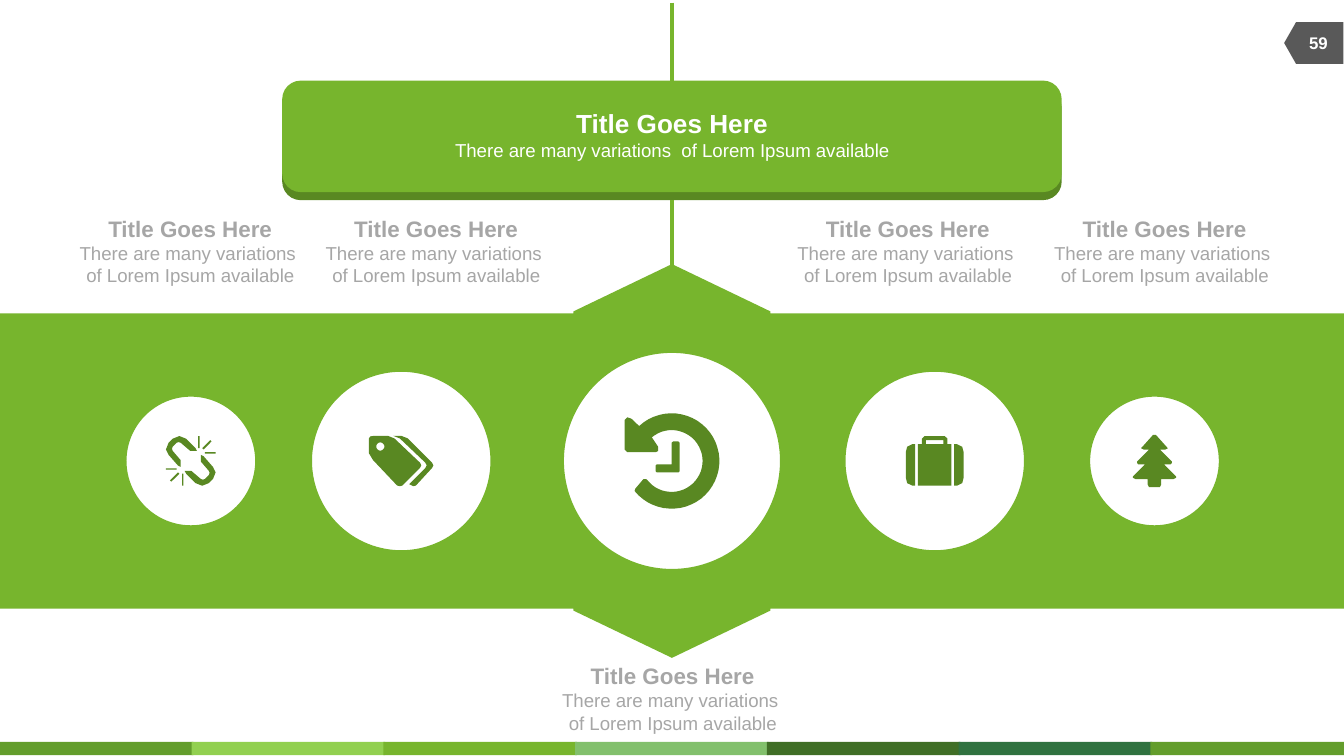
from dataclasses import dataclass
from math import cos, radians, sin

from lxml import etree
from pptx import Presentation
from pptx.dml.color import RGBColor
from pptx.enum.shapes import MSO_CONNECTOR, MSO_SHAPE
from pptx.enum.text import MSO_ANCHOR, PP_ALIGN
from pptx.oxml.ns import qn
from pptx.util import Inches, Pt

RECTANGLE = MSO_SHAPE.RECTANGLE
ROUNDED = MSO_SHAPE.ROUNDED_RECTANGLE
OVAL = MSO_SHAPE.OVAL
CALLOUT = MSO_SHAPE.LEFT_RIGHT_ARROW_CALLOUT
PAGE_TAB = MSO_SHAPE.FLOWCHART_OFFPAGE_CONNECTOR
STRAIGHT = MSO_CONNECTOR.STRAIGHT
CENTER = PP_ALIGN.CENTER
TOP, MIDDLE = MSO_ANCHOR.TOP, MSO_ANCHOR.MIDDLE

# The slide is a grid of square cells
COLUMNS, ROWS = 100, 56.25
CELL = Inches(0.1)


@dataclass(frozen=True)
class Theme:
    font: str = "Arial"
    green: str = "77B52D"
    dark_green: str = "598822"
    white: str = "FFFFFF"
    caption: str = "A6A6A6"
    tab: str = "595959"
    strips: tuple = ("639D2C", "92D050", "77B52D", "82C06C", "406E26", "307240", "639D2C")
    card_title: float = 14
    caption_title: float = 12
    body: float = 10
    page: float = 9
    stem: float = 2.25
    ring: float = 4.5


@dataclass(frozen=True)
class Box:
    left: float
    top: float
    width: float
    height: float

    @property
    def center(self):
        return self.left + self.width / 2, self.top + self.height / 2

    def inner(self, left, top, width, height):
        return Box(self.left + left, self.top + top, width, height)

    def emu(self):
        return [round(v * CELL) for v in (self.left, self.top, self.width, self.height)]


THEME = Theme()


def centered(x, y, width, height):
    return Box(x - width / 2, y - height / 2, width, height)


def color(code):
    return RGBColor.from_string(code)


def paint(shape, fill, line=None):
    shape.shadow.inherit = False
    shape.fill.solid()
    shape.fill.fore_color.rgb = color(fill)
    if line:
        shape.line.color.rgb = color(line)
        shape.line.width = Pt(THEME.ring)
    else:
        shape.line.fill.background()
    return shape


def add_shape(slide, kind, box, fill, line=None):
    return paint(slide.shapes.add_shape(kind, *box.emu()), fill, line)


def add_text(slide, box, lines, ink, anchor=TOP):
    """Each line is (text, size, bold)."""
    frame = slide.shapes.add_textbox(*box.emu()).text_frame
    frame.word_wrap = True
    frame.vertical_anchor = anchor
    for index, (text, size, bold) in enumerate(lines):
        paragraph = frame.add_paragraph() if index else frame.paragraphs[0]
        paragraph.text = text
        paragraph.alignment = CENTER
        paragraph.font.name = THEME.font
        paragraph.font.size = Pt(size)
        paragraph.font.bold = bold
        paragraph.font.color.rgb = color(ink)


def add_stem(slide, x, top, bottom):
    ends = [round(v * CELL) for v in (x, top, x, bottom)]
    stem = slide.shapes.add_connector(STRAIGHT, *ends)
    stem.line.color.rgb = color(THEME.green)
    stem.line.width = Pt(THEME.stem)
    etree.SubElement(stem._element.spPr, qn("a:effectLst"))
    return stem


# Icon outlines, in hundredths of an inch
def arc(x, y, radius, start, end, steps=40):
    angles = [radians(start + (end - start) * i / steps) for i in range(steps + 1)]
    return [(x + radius * cos(a), y + radius * sin(a)) for a in angles]


def mirror(points, width):
    return [(width - x, y) for x, y in points]


def half_turn(points, size):
    return [(size - x, size - y) for x, y in points]


def link_icon():
    half = [
        [(18, 11), (11, 5), (9.5, 4.5), (8, 5), (5, 8), (4.5, 9.5), (5, 11), (11, 18), (11, 23),
         (9, 22), (2, 14), (0, 10), (2, 5), (5, 2), (10, 0), (15, 2), (22, 9), (23, 11)],
        [(0, 24), (8, 24), (8, 25), (0, 25)],
        [(3, 33), (9, 27), (10, 28), (4, 34)],
        [(12, 28), (13, 28), (13, 37), (12, 37)],
    ]
    return half + [half_turn(part, 37) for part in half]


def tags_icon():
    front = [(38, 24), (25, 37), (23, 37.5), (21, 37), (3, 18), (0, 13), (0, 2), (1, 0.5),
             (4, 0), (14, 0), (19, 2), (38, 20), (39, 22)]
    back = [(47, 24), (35, 37), (33, 37.5), (30, 36), (42, 24), (43, 22), (42, 20), (23, 2),
            (18, 0), (24, 0), (29, 2), (47, 20), (48, 22)]
    return [front, arc(8.5, 8, 3, 0, 360), back]


def history_icon():
    head = [(5, 4), (2, 3), (0, 5), (0, 27), (2, 29), (23, 29), (25, 28), (25, 25)]
    dial = (arc(35, 35.5, 35.5, 141, -133) + head + arc(35, 35.5, 23, -130, 142)
            + [(16, 49), (14, 49), (8, 56)])
    hands = [(41, 43), (40, 44), (24, 44), (23, 43), (23, 39), (24, 38), (35, 38), (35, 22),
             (36, 21), (40, 21), (41, 22)]
    return [dial, hands]


def suitcase_icon():
    side = [(7, 37), (5, 37), (1, 35), (0, 31), (0, 12), (1, 8), (5, 6), (7, 6)]
    body = [(34, 37), (9, 37), (9, 6), (12, 6), (12, 2), (14, 0), (29, 0), (31, 2), (31, 6), (34, 6)]
    handle = [(28, 6), (28, 3), (15, 3), (15, 6)]
    return [side, body, handle, mirror(side, 43)]


def tree_icon():
    half = [(17, 0), (25, 9), (26, 10), (24, 11), (20, 11), (29, 20), (29, 21), (28, 22),
            (23, 22), (32, 31), (32, 32), (30, 33), (21, 33), (21, 37), (20, 39)]
    return [half + mirror(half, 32)[::-1]]


def add_icon(slide, center, outlines):
    """Draw the outlines as one freeform, in thousandths of an inch."""
    parts = [[(x * 10, y * 10) for x, y in outline] for outline in outlines]
    width, height = (max(point[axis] for part in parts for point in part) for axis in (0, 1))
    builder = slide.shapes.build_freeform(*parts[0][0], scale=CELL / 100)
    for index, part in enumerate(parts):
        if index:
            builder.move_to(*part[0])
        builder.add_line_segments(part[1:], close=True)
    x, y = center
    origin = round((x - width / 200) * CELL), round((y - height / 200) * CELL)
    paint(builder.convert_to_shape(*origin), THEME.dark_green)


def add_footer(slide, box):
    strip = 14.4
    pitch = (box.width - strip) / (len(THEME.strips) - 1)
    for index, fill in enumerate(THEME.strips):
        add_shape(slide, RECTANGLE, box.inner(index * pitch, 0, strip, box.height), fill)


def add_page_number(slide, box):
    tab = add_shape(slide, PAGE_TAB, centered(*box.center, box.height, box.width), THEME.tab)
    tab.rotation = 90
    add_text(slide, box.inner(0.45, 0.05, 4.2, 3), [("59", THEME.page, True)], THEME.white, MIDDLE)


def add_title_card(slide, box):
    base = add_shape(slide, ROUNDED, box.inner(0, 0.6, box.width, 8.3), THEME.dark_green)
    face = add_shape(slide, ROUNDED, box.inner(0, 0, box.width, 8.3), THEME.green)
    add_text(slide, box.inner(7.1, 1.5, 43.8, 5),
             [("Title Goes Here", THEME.card_title, True),
              ("There are many variations  of Lorem Ipsum available", THEME.body, False)],
             THEME.white)
    # Stems above and below the card
    x = box.center[0]
    add_stem(slide, x, 0.2, box.top).end_connect(face, 0)
    add_stem(slide, x, box.top + box.height, 21.1).begin_connect(base, 2)


def add_band(slide, box):
    band = add_shape(slide, CALLOUT, centered(*box.center, box.height, box.width), THEME.green)
    band.rotation = 270
    for index, value in enumerate((0.5, 0.25, 0.12, 0.75)):
        band.adjustments[index] = value


def add_caption(slide, box):
    add_text(slide, box,
             [("Title Goes Here", THEME.caption_title, True),
              ("There are many variations \vof Lorem Ipsum available", THEME.body, False)],
             THEME.caption)


def add_station(slide, box, outlines):
    add_shape(slide, OVAL, box, THEME.white, THEME.green)
    add_icon(slide, box.center, outlines)


def main():
    presentation = Presentation()
    presentation.slide_width = round(COLUMNS * CELL)
    presentation.slide_height = round(ROWS * CELL)
    slide = presentation.slides.add_slide(presentation.slide_layouts[6])

    add_footer(slide, Box(0, 55.2, COLUMNS, 1))
    add_page_number(slide, Box(95.55, 1.65, 4.4, 3.1))
    add_title_card(slide, Box(21, 6, 58, 8.9))
    band = Box(0, 19.65, COLUMNS, 29.3)
    add_band(slide, band)

    # Circle centre, diameter, icon, caption left and top
    stations = [
        (14.2, 10.2, link_icon(), 4.2, 15.5),
        (29.85, 13.9, tags_icon(), 22.5, 15.5),
        (50, 16.7, history_icon(), 40.1, 48.8),
        (69.55, 13.9, suitcase_icon(), 57.6, 15.5),
        (85.9, 10.2, tree_icon(), 76.7, 15.5),
    ]
    for x, diameter, outlines, left, top in stations:
        add_station(slide, centered(x, band.center[1], diameter, diameter), outlines)
        add_caption(slide, Box(left, top, 19.9, 6.4))

    presentation.save("out.pptx")


if __name__ == "__main__":
    main()
